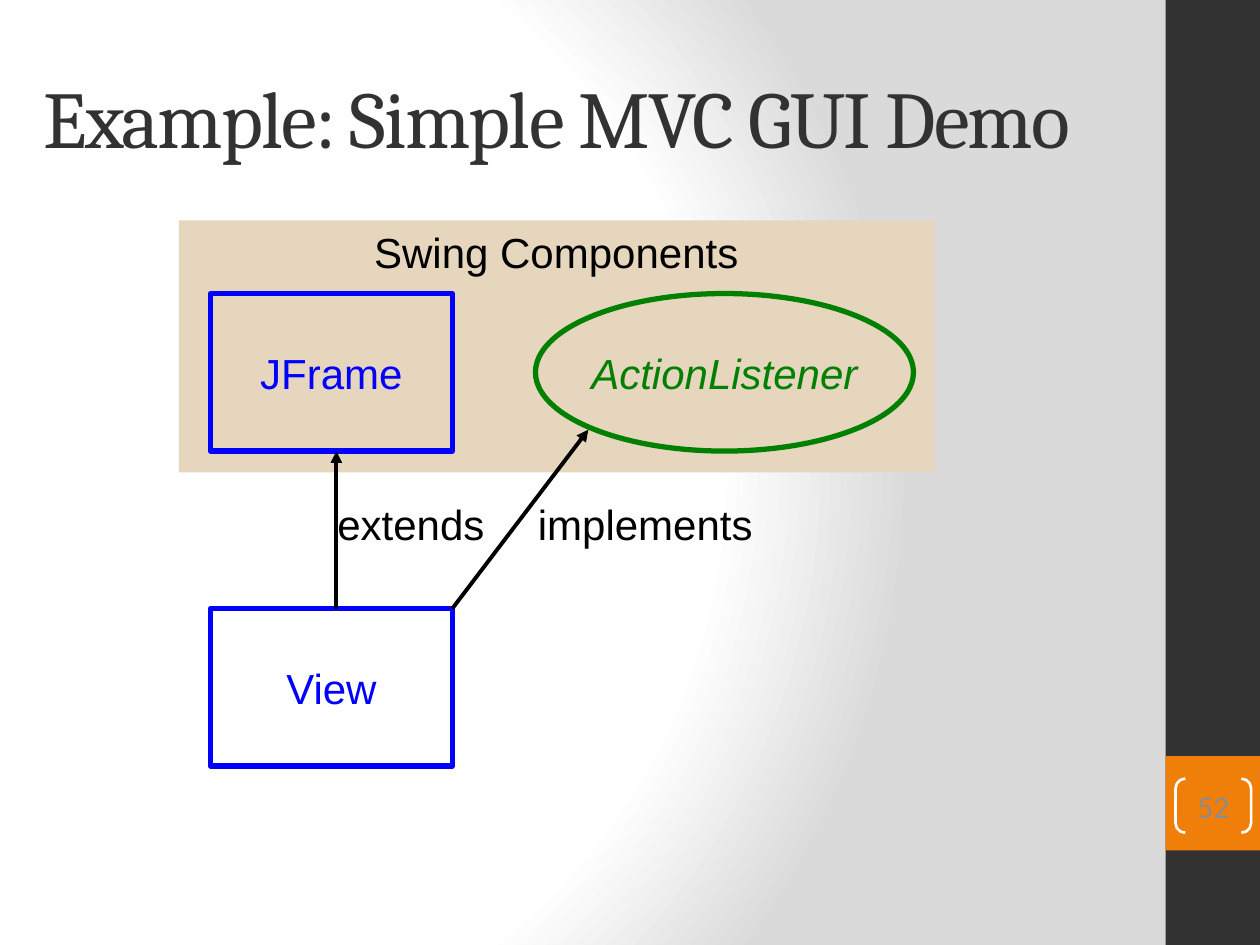
from pptx import Presentation
from pptx.dml.color import RGBColor
from pptx.enum.shapes import MSO_CONNECTOR, MSO_SHAPE
from pptx.enum.text import MSO_ANCHOR, PP_ALIGN
from pptx.oxml import parse_xml
from pptx.oxml.ns import nsdecls
from pptx.util import Inches, Pt

RECT = MSO_SHAPE.RECTANGLE
OVAL = MSO_SHAPE.OVAL
PAIR = MSO_SHAPE.DOUBLE_BRACKET
LINE = MSO_CONNECTOR.STRAIGHT
MID, TOP = MSO_ANCHOR.MIDDLE, MSO_ANCHOR.TOP
LEFT, MIDST = PP_ALIGN.LEFT, PP_ALIGN.CENTER

BLACK = RGBColor(0, 0, 0)
WHITE = RGBColor(255, 255, 255)
DARK = RGBColor(0x32, 0x32, 0x32)
GREY = RGBColor(0x8C, 0x8C, 0x8C)
ORANGE = RGBColor(0xF0, 0x7F, 0x09)
SAND = RGBColor(0xE6, 0xD6, 0xBD)
BLUE = RGBColor(0, 0, 255)
GREEN = RGBColor(0, 0x80, 0)

STOPS = ((0, "FFFFFF"), (75, "FFFFFF"), (100, "DADADA"))
NODE_H = 1.25
NODE_W = 1.92
NODE_X = 1.67
TOP_Y = 2.33
VIEW_Y = 4.83


def set_back(slide):
    """Give the slide a round gradient background."""
    stops = "".join(
        f'<a:gs pos="{pos * 1000}"><a:srgbClr val="{tone}"/></a:gs>'
        for pos, tone in STOPS)
    back = parse_xml(
        f'<p:bg {nsdecls("p", "a")}><p:bgPr><a:gradFill rotWithShape="1">'
        f'<a:gsLst>{stops}</a:gsLst><a:path path="circle">'
        '<a:fillToRect l="20000" t="50000" r="100000" b="50000"/></a:path>'
        '</a:gradFill><a:effectLst/></p:bgPr></p:bg>')
    slide.element.cSld.insert(0, back)


def write(shape, words, color, size=24, font="Arial", align=MIDST,
          anchor=MID, wrap=False, slant=False):
    """Put one styled run into a shape and return the run."""
    frame = shape.text_frame
    frame.word_wrap = wrap
    frame.vertical_anchor = anchor
    para = frame.paragraphs[0]
    para.alignment = align
    run = para.add_run()
    run.text = words
    run.font.name = font
    run.font.size = Pt(size)
    run.font.color.rgb = color
    run.font.italic = slant
    return run


def add_form(slide, kind, box, fill=None, line=None, width=3):
    """Add a preset shape with an optional fill and outline."""
    shape = slide.shapes.add_shape(kind, *map(Inches, box))
    shape.shadow.inherit = False
    if fill is None:
        shape.fill.background()
    else:
        shape.fill.solid()
        shape.fill.fore_color.rgb = fill
    if line is None:
        shape.line.fill.background()
    else:
        shape.line.color.rgb = line
        shape.line.width = Pt(width)
    return shape


def add_node(slide, kind, box, words, color, slant=False):
    """Add an outlined diagram node with a label of the same colour."""
    node = add_form(slide, kind, box, line=color)
    write(node, words, color, slant=slant)


def add_label(slide, box, words, color=BLACK, **style):
    """Add a text box and return its run."""
    label = slide.shapes.add_textbox(*map(Inches, box))
    return write(label, words, color, **style)


def add_arrow(slide, start, end):
    """Add a black arrow from start to end."""
    arrow = slide.shapes.add_connector(LINE, *map(Inches, start + end))
    arrow.line.color.rgb = BLACK
    arrow.line.width = Pt(2.25)
    arrow.line._get_or_add_ln().append(
        parse_xml(f'<a:tailEnd {nsdecls("a")} type="triangle"/>'))
    arrow._element.spPr.append(
        parse_xml(f'<a:effectLst {nsdecls("a")}/>'))


def add_page(slide, number):
    """Add the bracketed page number."""
    page = add_form(slide, PAIR, (9.33, 6.18, 0.6, 0.43),
                    line=WHITE, width=1.5)
    page.adjustments[0] = 0.18
    frame = page.text_frame
    frame.margin_left = frame.margin_right = 0
    frame.margin_top = frame.margin_bottom = 0
    write(page, number, GREY, size=18, font="Calibri", wrap=True)


def main():
    """Build and save the slide."""
    deck = Presentation()
    deck.slide_width, deck.slide_height = Inches(10), Inches(7.5)
    slide = deck.slides.add_slide(deck.slide_layouts[6])
    set_back(slide)

    add_form(slide, RECT, (9.25, 0, 0.75, 7.5), DARK)
    add_form(slide, RECT, (9.25, 6, 0.75, 0.75), ORANGE)
    add_form(slide, RECT, (1.42, 1.75, 6, 2), SAND)
    add_label(slide, (1.83, 1.75, 5.17, 0.5), "Swing Components",
              anchor=TOP, wrap=True)
    title = add_label(slide, (0.25, 0.3, 9.5, 1.25),
                      "Example: Simple MVC GUI Demo", DARK, size=46,
                      font="Cambria", align=LEFT, wrap=True)
    title.font._element.set("spc", "-100")
    add_page(slide, "52")

    add_node(slide, OVAL, (4.25, TOP_Y, 3, NODE_H), "ActionListener",
             GREEN, slant=True)
    for y, words in ((TOP_Y, "JFrame"), (VIEW_Y, "View")):
        add_node(slide, RECT, (NODE_X, y, NODE_W, NODE_H), words, BLUE)

    add_arrow(slide, (2.67, VIEW_Y), (2.67, TOP_Y + NODE_H))
    add_arrow(slide, (NODE_X + NODE_W, VIEW_Y), (4.67, 3.41))
    for x, width, words in ((2.58, 1.37, "extends"),
                            (4.17, 1.92, "implements")):
        add_label(slide, (x, 3.91, width, 0.5), words, align=LEFT,
                  anchor=TOP)

    deck.save("out.pptx")


main()
